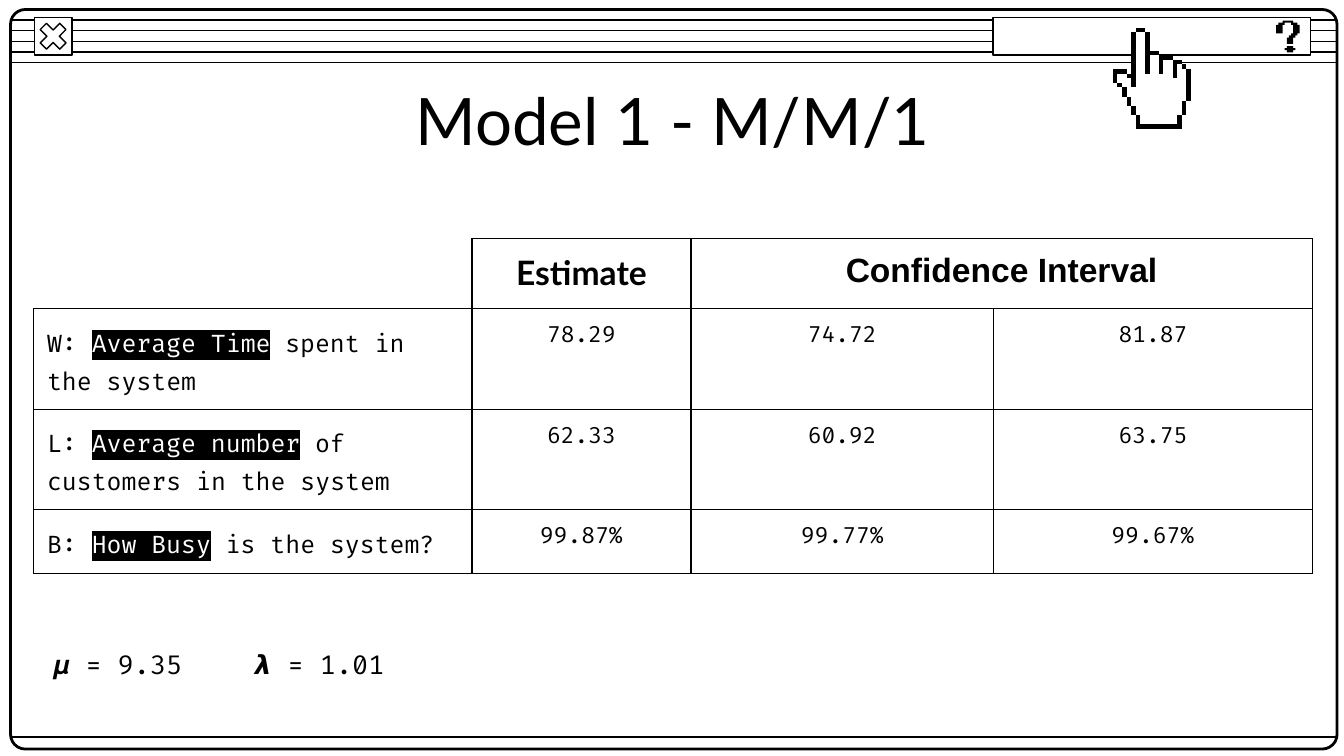
from dataclasses import dataclass

from lxml import etree
from pptx import Presentation
from pptx.dml.color import RGBColor
from pptx.enum.shapes import MSO_CONNECTOR, MSO_SHAPE
from pptx.enum.text import MSO_ANCHOR, PP_ALIGN
from pptx.oxml.ns import qn
from pptx.util import Cm, Pt

RECT, ROUND, CROSS = MSO_SHAPE.RECTANGLE, MSO_SHAPE.ROUNDED_RECTANGLE, MSO_SHAPE.MATH_MULTIPLY
STRAIGHT = MSO_CONNECTOR.STRAIGHT
LEFT, CENTER = PP_ALIGN.LEFT, PP_ALIGN.CENTER
TOP, MIDDLE = MSO_ANCHOR.TOP, MSO_ANCHOR.MIDDLE


@dataclass
class Theme:
    ink: str = "000000"
    paper: str = "FFFFFF"
    head: str = "Lato"
    alt: str = "Arial"
    mono: str = "Fira Code"
    title: float = 35
    label: float = 18
    note: float = 14
    body: float = 13
    value: float = 12
    thin: float = 0.75
    thick: float = 1.5
    inset: float = 0.25


class Deck:
    def __init__(self, theme):
        self.theme = theme
        self.file = Presentation()
        self.file.slide_width, self.file.slide_height = Cm(25.4), Cm(14.28)
        self.slide = self.file.slides.add_slide(self.file.slide_layouts[6])
        self.shapes = self.slide.shapes

    def paint(self, shape, fill, weight=None):
        shape.shadow.inherit = False
        if fill:
            shape.fill.solid()
            shape.fill.fore_color.rgb = RGBColor.from_string(fill)
        else:
            shape.fill.background()
        if weight:
            shape.line.color.rgb = RGBColor.from_string(self.theme.ink)
            shape.line.width = Pt(weight)
        else:
            shape.line.fill.background()

    def line(self, x, y, end):
        line = self.shapes.add_connector(STRAIGHT, Cm(x), Cm(y), Cm(end), Cm(y))
        line.line.color.rgb = RGBColor.from_string(self.theme.ink)
        line.line.width = Pt(self.theme.thin)
        etree.SubElement(line._element.spPr, qn("a:effectLst"))

    def box(self, kind, x, y, w, h, fill, weight, adjust=None):
        shape = self.shapes.add_shape(kind, Cm(x), Cm(y), Cm(w), Cm(h))
        if adjust is not None:
            shape.adjustments[0] = adjust
        self.paint(shape, fill, weight)

    def pixels(self, x, y, pitch, points, fill):
        """Draw an outline whose points count cells of a square grid."""
        form = self.shapes.build_freeform(*points[0], scale=pitch)
        form.add_line_segments(points[1:], close=True)
        self.paint(form.convert_to_shape(Cm(x), Cm(y)), fill)

    def style(self, run, font, size, color=None, bold=False, mark=None):
        run.font.name, run.font.size, run.font.bold = font, Pt(size), bold
        run.font.color.rgb = RGBColor.from_string(color or self.theme.ink)
        if mark:
            light = etree.Element(qn("a:highlight"))
            etree.SubElement(light, qn("a:srgbClr"), val=mark)
            run._r.rPr.find(qn("a:solidFill")).addnext(light)

    def text(self, words, x, y, w, h, font, size, align=LEFT, anchor=TOP):
        frame = self.shapes.add_textbox(Cm(x), Cm(y), Cm(w), Cm(h)).text_frame
        frame.word_wrap = True
        frame.vertical_anchor = anchor
        frame.margin_left = frame.margin_right = Cm(self.theme.inset)
        frame.margin_top = frame.margin_bottom = Cm(self.theme.inset)
        frame.text = words
        para = frame.paragraphs[0]
        para.alignment = align
        self.style(para.runs[0], font, size)

    def edges(self, cell, shown):
        props = cell._tc.get_or_add_tcPr()
        for spot, side in enumerate("LRTB"):
            edge = etree.Element(qn("a:ln" + side), w=str(Pt(self.theme.thin)))
            if side in shown:
                fill = etree.SubElement(edge, qn("a:solidFill"))
                etree.SubElement(fill, qn("a:srgbClr"), val=self.theme.ink)
            else:
                etree.SubElement(edge, qn("a:noFill"))
            props.insert(spot, edge)

    def table(self, x, y, cols, rows):
        frame = self.shapes.add_table(len(rows), len(cols), Cm(x), Cm(y), Cm(sum(cols)), Cm(sum(rows)))
        grid = frame.table
        grid.first_row = grid.horz_banding = False
        for col, width in zip(grid.columns, cols):
            col.width = Cm(width)
        for row, height in zip(grid.rows, rows):
            row.height = Cm(height)
        for cell in grid.iter_cells():
            cell.fill.background()
            cell.margin_left = cell.margin_right = Cm(self.theme.inset)
            cell.margin_top = cell.margin_bottom = Cm(self.theme.inset)
            self.edges(cell, "RB" if cell is grid.cell(0, 0) else "LRTB")
        self.edges_off(grid.cell(0, 0))
        return grid

    def edges_off(self, cell):
        """Leave only the right and bottom edges of a corner cell."""
        props = cell._tc.tcPr
        for side in "LRTB":
            props.remove(props.find(qn("a:ln" + side)))
        self.edges(cell, "RB")

    def fill(self, cell, words, font, size, bold=False):
        cell.text_frame.text = words
        para = cell.text_frame.paragraphs[0]
        para.alignment = CENTER
        self.style(para.runs[0], font, size, bold=bold)

    def measure(self, cell, key, term, rest):
        t = self.theme
        para = cell.text_frame.paragraphs[0]
        para.line_spacing, para.space_before, para.space_after = 1.27, Pt(3), Pt(33)
        parts = ((key, t.ink, t.paper), (" ", t.paper, t.paper),
                 (term, t.paper, t.ink), (rest, t.ink, t.paper))
        for words, color, mark in parts:
            run = para.add_run()
            run.text = words
            self.style(run, t.mono, t.body, color, mark=mark)


HOOK = [(3, 0), (3, 1), (1, 1), (1, 2), (0, 2), (0, 6), (3, 6), (3, 2), (4, 2), (4, 1), (7, 1),
        (7, 2), (8, 2), (8, 6), (7, 6), (7, 7), (6, 7), (6, 8), (5, 8), (5, 11), (8, 11), (8, 8),
        (9, 8), (9, 7), (10, 7), (10, 6), (11, 6), (11, 2), (10, 2), (10, 1), (8, 1), (8, 0)]
DOT = [(5, 12), (5, 13), (4, 13), (4, 14), (5, 14), (5, 15),
       (8, 15), (8, 14), (9, 14), (9, 13), (8, 13), (8, 12)]
PALM = [(5, 0), (5, 1), (4, 1), (4, 10), (3, 10), (3, 9), (0, 9), (0, 12), (1, 12), (1, 13),
        (2, 13), (2, 15), (3, 15), (3, 17), (4, 17), (4, 19), (5, 19), (5, 22), (15, 22), (15, 19),
        (16, 19), (16, 16), (17, 16), (17, 9), (16, 9), (16, 8), (15, 8), (15, 7), (13, 7), (13, 6),
        (10, 6), (10, 5), (8, 5), (8, 1), (7, 1), (7, 0)]
# Strokes of the hand: column, row, width, height in cells
STROKES = [(4, 1, 1, 12), (5, 0, 2, 1), (7, 1, 1, 9), (8, 5, 2, 1), (10, 7, 1, 3), (10, 6, 3, 1),
           (13, 8, 1, 3), (13, 7, 2, 1), (15, 8, 1, 1), (16, 9, 1, 7), (15, 16, 1, 3),
           (14, 19, 1, 3), (5, 21, 9, 1), (3, 10, 1, 1), (0, 9, 3, 1), (0, 10, 1, 2),
           (1, 12, 1, 1), (2, 13, 1, 2), (3, 15, 1, 2), (4, 17, 1, 2), (5, 19, 1, 2)]
ROWS = [("W:", "Average Time", " spent in the system", "78.29", "74.72", "81.87"),
        ("L:", "Average number", " of customers in the system", "62.33", "60.92", "63.75"),
        ("B:", "How Busy", " is the system?", "99.87%", "99.77%", "99.67%")]


def main():
    t = Theme()
    deck = Deck(t)

    # Window frame and title bar
    for step in range(5):
        deck.line(0.21, 0.38 + 0.2 * step, 25.27)
    deck.box(ROUND, 0.2, 0.18, 25.07, 13.97, None, t.thick, 0.02)
    for kind, adjust in ((RECT, None), (CROSS, 0.235)):
        deck.box(kind, 0.65, 0.33, 0.71, 0.71, t.paper, t.thin, adjust)
    deck.line(0.2, 13.92, 25.27)

    # Help field with question mark
    deck.box(RECT, 18.77, 0.33, 6, 0.71, t.paper, t.thin)
    for points in (DOT, HOOK):
        deck.pixels(24.12, 0.39, Cm(0.04), points, t.ink)

    # Title
    deck.text("Model 1 - M/M/1", 2.01, 1.45, 21.41, 1.6, t.head, t.title, CENTER, MIDDLE)

    # Results table
    grid = deck.table(0.64, 4.51, (8.28, 4.14, 5.72, 6.02), (1.32, 1.85, 0.97, 0.97))
    grid.cell(0, 2).merge(grid.cell(0, 3))
    deck.fill(grid.cell(0, 1), "Estimate", t.head, t.label, True)
    deck.fill(grid.cell(0, 2), "Confidence Interval", t.alt, t.label, True)
    for row, (key, term, rest, *values) in enumerate(ROWS, 1):
        deck.measure(grid.cell(row, 0), key, term, rest)
        for col, value in enumerate(values, 1):
            deck.fill(grid.cell(row, col), value, t.mono, t.value)

    # Rates
    deck.text("𝝁 = 9.35 \t𝞴 = 1.01", 0.76, 11.99, 15.62, 1.7, t.mono, t.note)

    # Pointing hand
    spot = (21.03, 0.52, Cm(1.48) / 17)
    deck.pixels(*spot, PALM, t.paper)
    for x, y, w, h in STROKES:
        deck.pixels(*spot, [(x, y), (x, y + h), (x + w, y + h), (x + w, y)], t.ink)

    deck.file.save("out.pptx")


if __name__ == "__main__":
    main()
